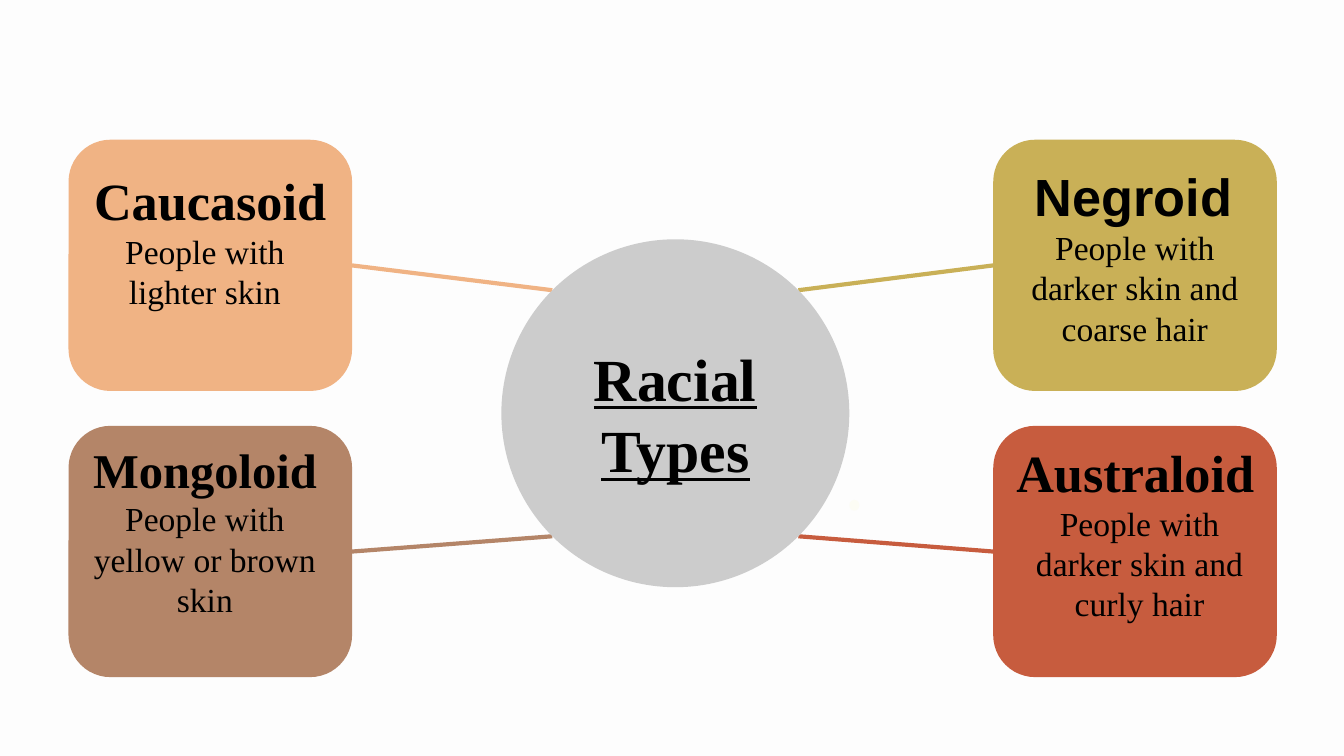
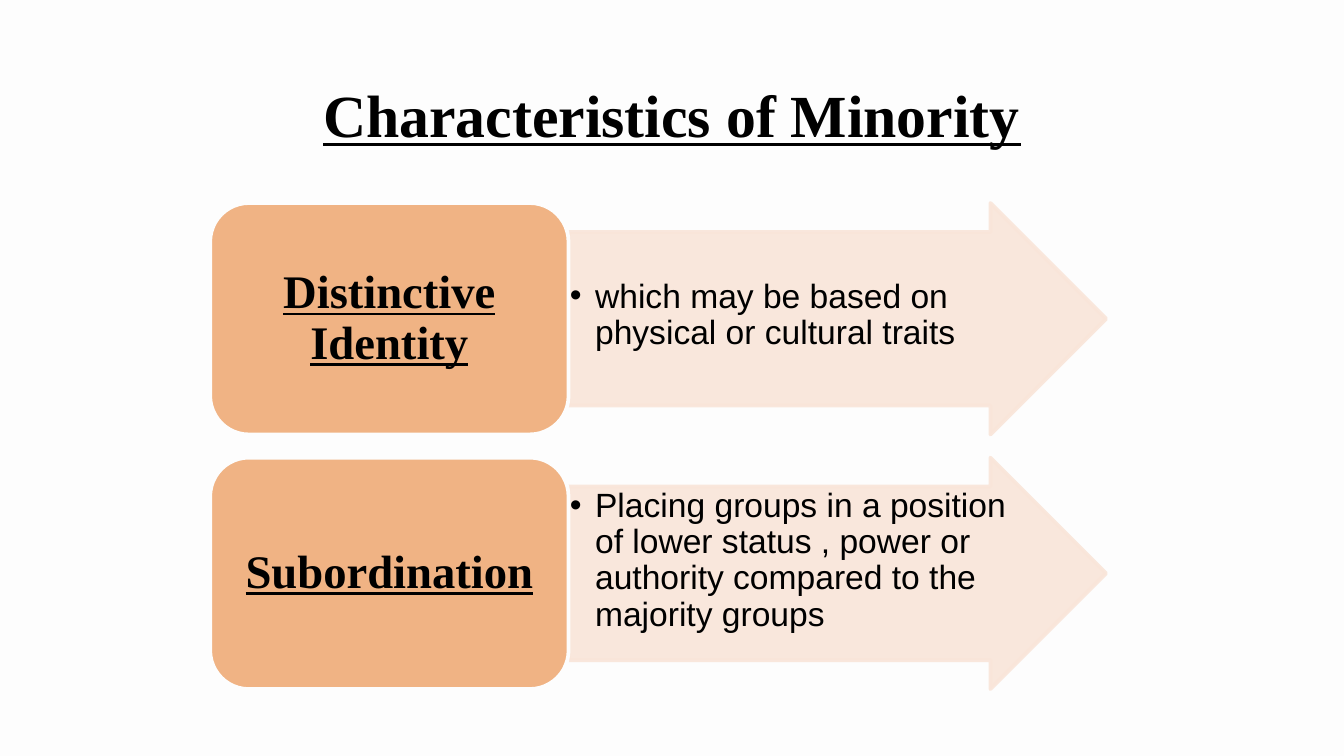
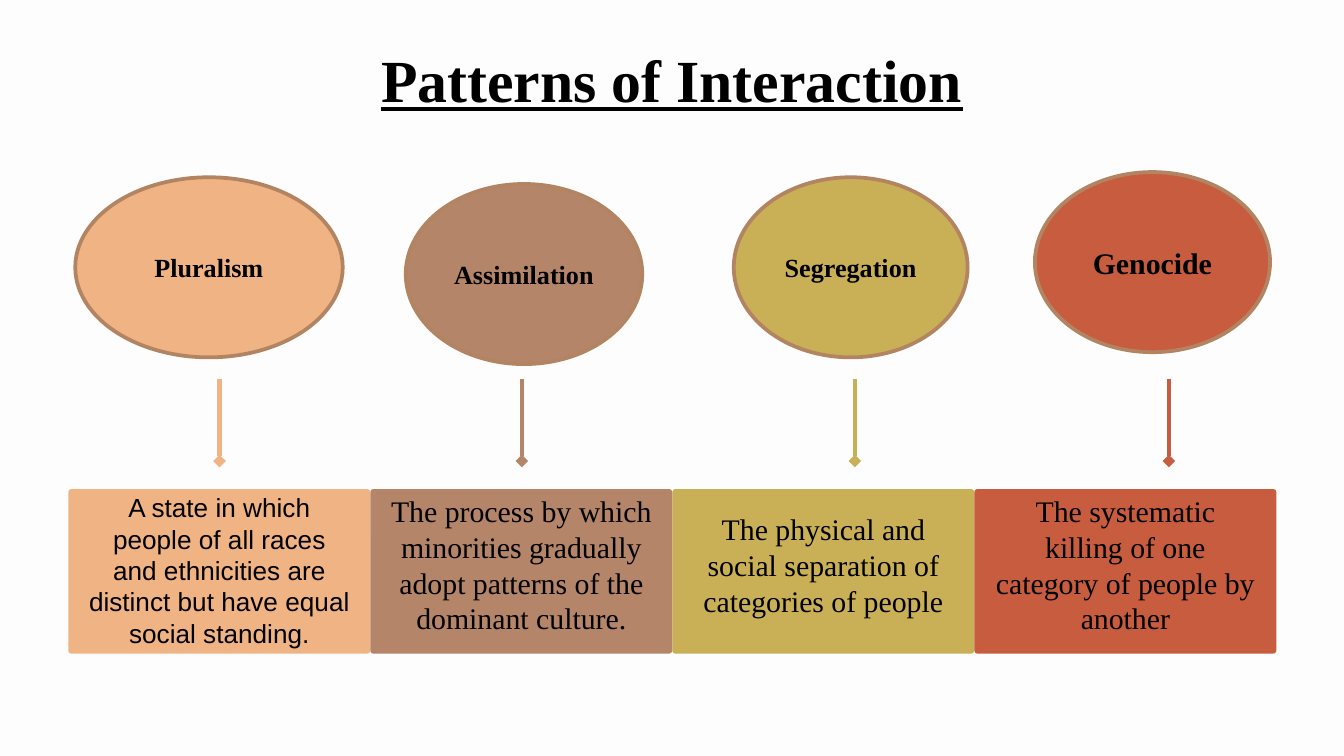
from lxml import etree
from pptx import Presentation
from pptx.dml.color import RGBColor
from pptx.enum import shapes, text
from pptx.oxml import ns
from pptx.util import Pt

rgb = RGBColor.from_string
SHAPE = shapes.MSO_SHAPE
LINE = shapes.MSO_CONNECTOR.STRAIGHT
TOP, MIDDLE = text.MSO_ANCHOR.TOP, text.MSO_ANCHOR.MIDDLE
LEFT, CENTER = text.PP_ALIGN.LEFT, text.PP_ALIGN.CENTER
SERIF, SANS = "Times New Roman", "Arial"
PAPER, INK, GREY, BLUSH = "FDFDFD", "000000", "CCCCCC", "F9E5D9"
PEACH, BROWN, OLIVE, RUST, RIM = "F0B384", "B48568", "C9B057", "C75C3E", "B28462"


def add_box(s, kind, x, y, w, h, fill=None, line=None, adj=(),
            inset=(7.2, 7.2, 7.2, 7.2), anchor=TOP):
    area = Pt(x), Pt(y), Pt(w), Pt(h)
    if kind is None:
        sp = s.shapes.add_textbox(*area)
    else:
        sp = s.shapes.add_shape(kind, *area)
        sp.shadow.inherit = False
        sp.fill.solid()
        sp.fill.fore_color.rgb = rgb(fill)
        if line:
            sp.line.color.rgb = rgb(line)
            sp.line.width = Pt(2)
        else:
            sp.line.fill.background()
        for i, value in enumerate(adj):
            sp.adjustments[i] = value
    tf = sp.text_frame
    tf.word_wrap = True
    tf.vertical_anchor = anchor
    tf.margin_left, tf.margin_top, tf.margin_right, tf.margin_bottom = map(Pt, inset)
    return sp


def write(sp, words, size=18, font=SERIF, bold=False, underline=False,
          align=CENTER, spacing=None, left=0, bullet=None):
    tf = sp.text_frame
    p = tf.add_paragraph() if tf.text else tf.paragraphs[0]
    pPr = p._p.get_or_add_pPr()
    if left:
        pPr.set("marL", str(Pt(left)))
    if bullet:
        pPr.set("indent", str(-Pt(left)))
        color = etree.SubElement(pPr, ns.qn("a:buClr"))
        etree.SubElement(color, ns.qn("a:srgbClr"), val=INK)
        etree.SubElement(pPr, ns.qn("a:buFont"), typeface=SANS)
        etree.SubElement(pPr, ns.qn("a:buChar"), char=bullet)
    p.alignment = align
    if spacing:
        p.line_spacing = spacing
    r = p.add_run()
    r.text = words
    r.font.size = Pt(size)
    r.font.name = font
    r.font.bold = bold
    r.font.underline = underline
    r.font.color.rgb = rgb(INK)


prs = Presentation()
prs.slide_width, prs.slide_height = Pt(720), Pt(405)
prs.slide_master.background.fill.solid()
prs.slide_master.background.fill.fore_color.rgb = rgb(PAPER)
racial, minority, patterns = [prs.slides.add_slide(prs.slide_layouts[6]) for _ in range(3)]
connectors = []

for s, title, y in [
    (minority, "Characteristics of Minority", 56.7),
    (patterns, "Patterns of Interaction", 37.8),
]:
    sp = add_box(s, None, 39.6, y, 640.8, 8.6, anchor=MIDDLE)
    write(sp, title, size=32, bold=True, underline=True)

s = racial
card_w, card_h = 151.9, 134.6
center_x, center_y, radius = 361.8, 221.4, 93.2
reach = radius * 0.707
add_box(s, SHAPE.OVAL, 455, 267.8, 5.4, 5.8, fill="FCFCF4")
for name, about, color, x, y, area, size, font, left in [
    ("Caucasoid", "People with lighter skin", PEACH, 36.7, 74.9,
     (36.3, 82.8, 146.9, 121), 28, SERIF, 7),
    ("Negroid", "People with darker skin and coarse hair", OLIVE, 532.1, 74.9,
     (539.6, 80.8, 136.8, 123.1), 28, SANS, 7.8),
    ("Mongoloid", "People with yellow or brown skin", BROWN, 36.7, 228.2,
     (36.3, 228.5, 146.9, 119.5), 26, SERIF, 6.5),
    ("Australoid", "People with darker skin and curly hair", RUST, 532.1, 228.2,
     (537.4, 228.5, 146.2, 119.5), 28, SERIF, 0),
]:
    card = add_box(s, SHAPE.ROUNDED_RECTANGLE, x, y, card_w, card_h, fill=color, adj=[0.167])
    label = add_box(s, None, *area)
    write(label, name, size=size, font=font, bold=True, align=LEFT, left=left)
    write(label, about)
    on_left, on_top = x < center_x, y < center_y - radius
    end_x = center_x + (-reach if on_left else reach)
    end_y = center_y + (-reach if on_top else reach)
    c = s.shapes.add_connector(LINE, Pt(x), Pt(y), Pt(end_x), Pt(end_y))
    c.begin_connect(card, 3 if on_left else 1)
    connectors.append((c, color, None))
hub = add_box(s, SHAPE.OVAL, center_x - radius, center_y - radius, 2 * radius, 2 * radius,
              fill=GREY, anchor=MIDDLE)
write(hub, "Racial Types", size=32, bold=True, underline=True)

s = minority
for i, (name, about, drop) in enumerate([
    ("Distinctive Identity", "which may be based on physical or cultural traits", 25),
    ("Subordination", "Placing groups in a position of lower status , power or "
     "authority compared to the majority groups", 0.7),
]):
    y = 108.8 + i * 136.4
    arrow = add_box(s, SHAPE.RIGHT_ARROW, 304.6, y, 288, 124,
                    fill=BLUSH, line=BLUSH, adj=[0.75, 0.5])
    for color in arrow._element.spPr.iter(ns.qn("a:srgbClr")):
        etree.SubElement(color, ns.qn("a:alpha"), val="90000")
    sp = add_box(s, None, 304.6, y + 15.7, 241.2, 93, inset=(0.7, drop, 0.7, 0.7))
    write(sp, about, font=SANS, align=LEFT, spacing=0.9, left=13.5, bullet="•")
    sp = add_box(s, SHAPE.ROUNDED_RECTANGLE, 112.6, y, 192, 124, fill=PEACH, line=PAPER,
                 inset=(7.2, 3.6, 7.2, 3.6), anchor=MIDDLE)
    write(sp, name, size=25, bold=True, underline=True, spacing=0.9)

s = patterns
panel_w = 161.8
for i, (name, about, color, oval, size, stem_x, text_y, about_size, font) in enumerate([
    ("Pluralism", "A state in which people of all races and ethnicities are distinct "
     "but have equal social standing.", PEACH, (40.3, 95, 143.3), 14, 117.6, 278, 14, SANS),
    ("Assimilation", "The process by which minorities gradually adopt patterns of the "
     "dominant culture.", BROWN, (217.4, 98.6, 126.7), 14, 279.6, 275, 16, SERIF),
    ("Segregation", "The physical and social separation of categories of people",
     OLIVE, (393.1, 95, 125.3), 14, 458, 275, 16, SERIF),
    ("Genocide", "The systematic killing of one category of people by another",
     RUST, (554.4, 92.2, 126), 16, 626.2, 275, 16, SERIF),
]):
    x = 36.6 + i * panel_w
    add_box(s, SHAPE.ROUNDED_RECTANGLE, x, 262, panel_w, 88.2, fill=color, adj=[0.02])
    sp = add_box(s, None, x + 3.5, text_y, 154.8, 54.7,
                 inset=(7.2, 3.6, 7.2, 3.6), anchor=MIDDLE)
    write(sp, about, size=about_size, font=font)
    c = s.shapes.add_connector(LINE, Pt(stem_x), Pt(203), Pt(stem_x), Pt(247))
    connectors.append((c, color, "diamond"))
    oval_x, oval_y, oval_w = oval
    sp = add_box(s, SHAPE.OVAL, oval_x, oval_y, oval_w, 96.5, fill=color, line=RIM,
                 inset=(7.2, 3.6, 7.2, 3.6), anchor=MIDDLE)
    write(sp, name, size=size, bold=True)

for c, color, tip in connectors:
    c.line.color.rgb = rgb(color)
    c.line.width = Pt(2.25)
    if tip:
        etree.SubElement(c.line._get_or_add_ln(), ns.qn("a:tailEnd"), type=tip)
    etree.SubElement(c._element.spPr, ns.qn("a:effectLst"))

prs.save("out.pptx")
